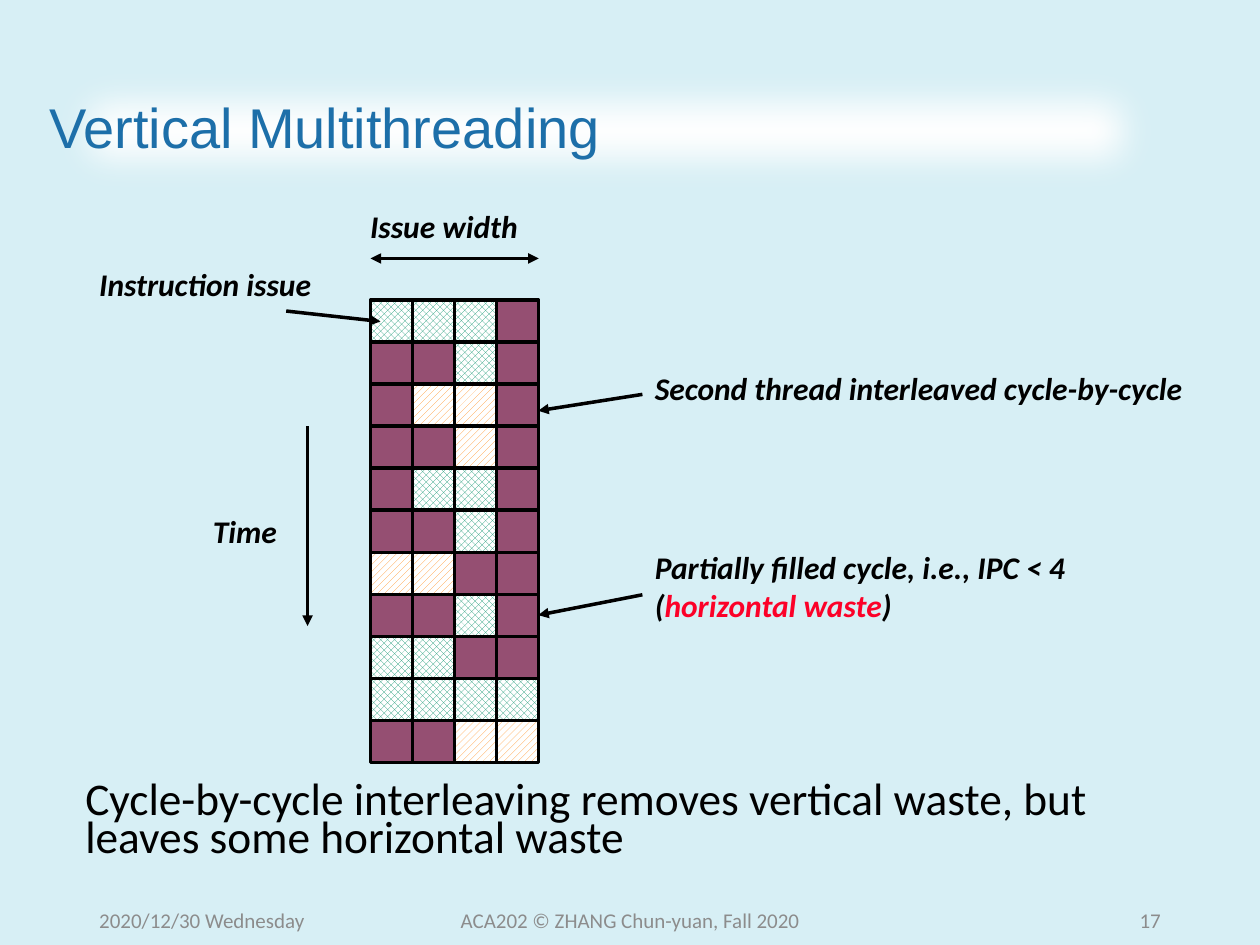
from lxml.etree import SubElement
from pptx import Presentation
from pptx.dml.color import RGBColor
from pptx.enum.dml import MSO_PATTERN as Pattern
from pptx.enum.shapes import MSO_CONNECTOR as Connector, MSO_SHAPE as Shape
from pptx.enum.text import MSO_ANCHOR as Anchor, PP_ALIGN as Align
from pptx.oxml.ns import qn
from pptx.util import Cm, Pt

COLORS = {
    "background": "D7EFF5", "white": "FFFFFF", "black": "000000",
    "title": "1D6FA9", "idle": "954F72", "first": "1D9A78",
    "second": "FF9933", "waste": "FC0128", "footer": "8C8C8C",
}

TITLE = ("Vertical Multithreading", (0.74, 1.02, 22.91, 3.2))
SUMMARY = ("Cycle-by-cycle interleaving removes vertical waste, but "
           "leaves some horizontal waste", (1.47, 15.7, 21.74, 1.88))

# One row per cycle: 1 = first thread, 2 = second thread, . = idle slot
CYCLES = ["111.", "..1.", ".22.", "..2.", ".11.", "..1.",
          "22..", "..1.", "11..", "1111", "..22"]
PATTERNS = {"1": (Pattern.SOLID_DIAMOND, "first"),
            "2": (Pattern.WIDE_UPWARD_DIAGONAL, "second")}
GRID_LEFT, GRID_TOP, GRID_WIDTH = 7.47, 6.05, 3.39

# Start, end, whether the arrow points both ways
ARROWS = [
    ((7.47, 5.21), (10.86, 5.21), True),
    ((6.2, 8.59), (6.2, 12.62), False),
    ((5.77, 6.27), (7.67, 6.48), False),
    ((12.95, 11.99), (10.85, 12.4), False),
    ((12.95, 7.95), (10.85, 8.28), False),
]

# A label is a string, or a list of paragraphs made of (text, colour) spans
LABELS = [
    ("Issue width", (7.21, 4.04, 4.72, 1.27)),
    ("Time", (4.04, 10.19, 2.46, 1.27)),
    ("Second thread interleaved cycle-by-cycle", (12.95, 7.32, 11.71, 1.02)),
    ("Instruction issue", (1.75, 5.21, 5.33, 2.31)),
    ([[("Partially filled cycle, i.e., IPC < 4", "black")],
      [("(", "black"), ("horizontal waste", "waste"), (")", "black")]],
     (12.95, 10.92, 8.89, 3.33)),
]

FOOTERS = [
    ("2020/12/30 Wednesday", (1.75, 18.03, 5.72, 1.02), Align.LEFT),
    ("ACA202 © ZHANG Chun-yuan, Fall 2020", (8.41, 18.03, 8.59, 1.02), Align.CENTER),
    ("17", (17.93, 18.03, 5.72, 1.02), Align.RIGHT),
]


def color(name):
    return RGBColor.from_string(COLORS[name])


def write(box, text, size, ink="black", font="Calibri", emphasis=False,
          align=Align.LEFT, anchor=Anchor.TOP, spacing=None):
    frame = box.text_frame
    frame.word_wrap = True
    frame.vertical_anchor = anchor
    paragraphs = [[(text, ink)]] if isinstance(text, str) else text
    for index, spans in enumerate(paragraphs):
        para = frame.add_paragraph() if index else frame.paragraphs[0]
        para.alignment = align
        para.line_spacing = spacing
        for words, span_ink in spans:
            span = para.add_run()
            span.text = words
            span.font.name = font
            span.font.size = Pt(size)
            span.font.bold = span.font.italic = emphasis
            span.font.color.rgb = color(span_ink)


def add_text(page, text, place, size, **style):
    box = page.shapes.add_textbox(*map(Cm, place))
    write(box, text, size, **style)


def add_title(page):
    """Add the title on a white band with soft edges."""
    text, place = TITLE
    band = page.shapes.add_shape(Shape.RECTANGLE, *map(Cm, place))
    band.shadow.inherit = False
    band.fill.solid()
    band.fill.fore_color.rgb = color("white")
    band.line.fill.background()
    effects = band._element.spPr.find(qn("a:effectLst"))
    SubElement(effects, qn("a:softEdge"), rad=str(Cm(0.88)))
    write(band, text, 32, ink="title", font="Arial", anchor=Anchor.MIDDLE, spacing=0.9)


def add_grid(page):
    side = GRID_WIDTH / len(CYCLES[0])
    for row, cycle in enumerate(CYCLES):
        for column, slot in enumerate(cycle):
            cell = page.shapes.add_shape(
                Shape.RECTANGLE, Cm(GRID_LEFT + column * side),
                Cm(GRID_TOP + row * side), Cm(side), Cm(side))
            cell.shadow.inherit = False
            cell.line.color.rgb = color("black")
            cell.line.width = Pt(2)
            if slot in PATTERNS:
                pattern, ink = PATTERNS[slot]
                cell.fill.patterned()
                cell.fill.pattern = pattern
                cell.fill.fore_color.rgb = color(ink)
                cell.fill.back_color.rgb = color("white")
            else:
                cell.fill.solid()
                cell.fill.fore_color.rgb = color("idle")


def add_arrow(page, start, end, both_ways):
    arrow = page.shapes.add_connector(Connector.STRAIGHT, *map(Cm, start + end))
    arrow.line.color.rgb = color("black")
    arrow.line.width = Pt(2)
    line = arrow.line._get_or_add_ln()
    for tag in (["a:headEnd"] if both_ways else []) + ["a:tailEnd"]:
        SubElement(line, qn(tag), type="triangle")
    SubElement(arrow._element.spPr, qn("a:effectLst"))


def main():
    deck = Presentation()
    deck.slide_width, deck.slide_height = Cm(25.4), Cm(19.05)
    page = deck.slides.add_slide(deck.slide_layouts[6])
    page.background.fill.solid()
    page.background.fill.fore_color.rgb = color("background")

    add_title(page)
    add_text(page, *SUMMARY, 25.9, spacing=0.7)
    add_grid(page)
    for arrow in ARROWS:
        add_arrow(page, *arrow)
    for text, place in LABELS:
        add_text(page, text, place, 18, emphasis=True)
    for text, place, align in FOOTERS:
        add_text(page, text, place, 12, ink="footer", align=align, anchor=Anchor.MIDDLE)
    deck.save("out.pptx")


if __name__ == "__main__":
    main()
